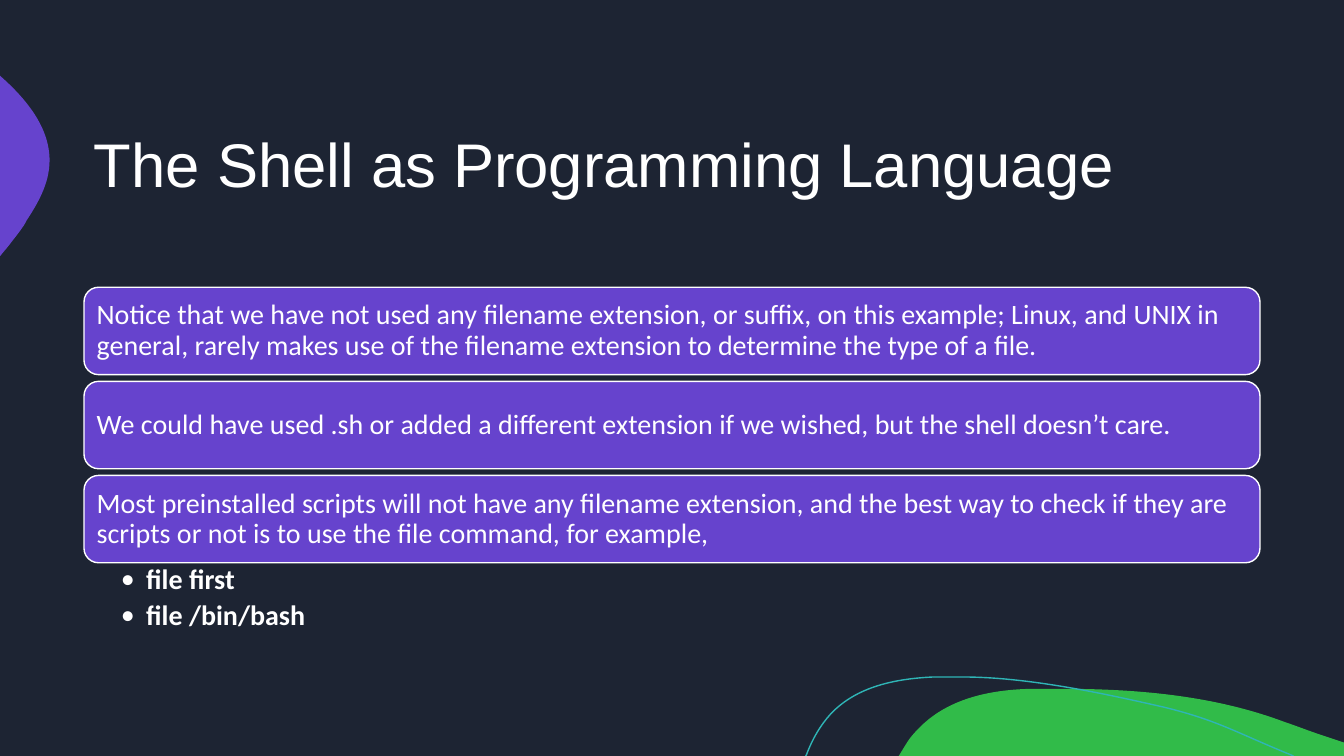
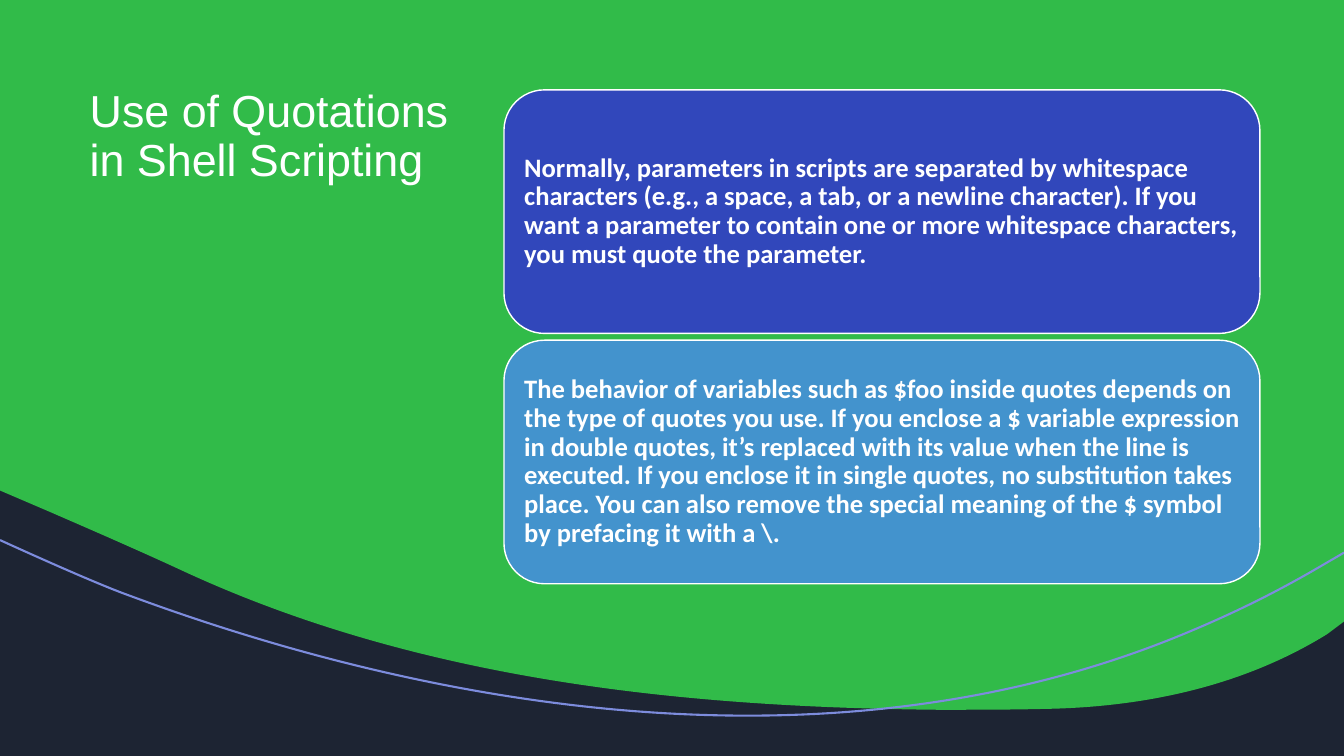
from dataclasses import dataclass
from typing import Optional

from lxml import etree
from pptx import Presentation
from pptx.dml.color import RGBColor
from pptx.enum.shapes import MSO_SHAPE
from pptx.enum.text import MSO_ANCHOR, PP_ALIGN
from pptx.oxml.ns import qn
from pptx.util import Emu, Pt

RECTANGLE, ROUNDED = MSO_SHAPE.RECTANGLE, MSO_SHAPE.ROUNDED_RECTANGLE
TOP, MIDDLE = MSO_ANCHOR.TOP, MSO_ANCHOR.MIDDLE
LEFT = PP_ALIGN.LEFT

EMU_PER_PX = 7620
SLIDE_W, SLIDE_H = 1600, 900
CARD_GAP = 8
BULLET_INDENT = 30

COLORS = {
    "navy": "1D2433",
    "green": "31BB49",
    "purple": "6643CD",
    "teal": "2FB5B6",
    "lavender": "7D8CDD",
    "indigo": "3147BB",
    "sky": "4393CD",
    "white": "FFFFFF",
}

Segment = tuple[int, ...]


@dataclass(frozen=True)
class Box:
    left: int
    top: int
    width: int
    height: int


@dataclass(frozen=True)
class Style:
    font: str
    size: int
    bold: bool = False
    anchor: MSO_ANCHOR = MIDDLE
    insets: tuple[int, int, int, int] = (12, 6, 12, 6)
    bullet: Optional[str] = None
    space_after: int = 0


@dataclass(frozen=True)
class Curve:
    start: tuple[int, int]
    segments: tuple[Segment, ...]
    fill: Optional[str] = None
    line: Optional[str] = None
    weight: float = 1


@dataclass(frozen=True)
class Card:
    text: str
    fill: str


CARD_INSETS = (10, 10, 10, 10)
WIDE_TITLE = Style("Arial", 44)
SIDE_TITLE = Style("Arial", 32, anchor=TOP)
WIDE_CARD = Style("Calibri", 20, insets=CARD_INSETS)
TALL_CARD = Style("Calibri", 19, bold=True, insets=CARD_INSETS)
COMMANDS = Style("Calibri", 20, bold=True, anchor=TOP,
                 insets=(44, 3, 19, 3), bullet="•", space_after=4)

CORNER_CURVES = (
    Curve((1265, 820), (
        (1354, 820, 1445, 828, 1528, 859),
        (1543, 864, 1558, 870, 1573, 875),
        (1600, 884), (1600, 900), (1070, 900), (1078, 887),
        (1082, 880, 1087, 874, 1093, 868),
        (1127, 832, 1178, 821, 1228, 820),
        (1240, 820, 1252, 820, 1265, 820)), fill="green"),
    Curve((0, 90), (
        (1, 91),
        (36, 122, 65, 160, 58, 204),
        (55, 224, 44, 244, 32, 262),
        (29, 269, 20, 280, 10, 293),
        (0, 305)), fill="purple"),
    Curve((959, 900), (
        (960, 899),
        (967, 880, 977, 863, 989, 850),
        (1020, 817, 1067, 808, 1111, 806),
        (1146, 806),
        (1226, 806, 1320, 827, 1386, 842),
        (1451, 858, 1471, 872, 1540, 900)), line="teal"),
)
WAVE_CURVES = (
    Curve((0, 0), (
        (1600, 0), (1600, 740), (1580, 755),
        (1478, 818, 1360, 842, 1244, 844),
        (1202, 845, 1159, 845, 1116, 845),
        (812, 842, 497, 810, 214, 678),
        (162, 654, 109, 631, 56, 608),
        (0, 584)), fill="green"),
    Curve((1600, 658), (
        (1564, 679),
        (1517, 706, 1464, 733, 1394, 761),
        (1009, 914, 558, 859, 151, 708),
        (118, 696, 48, 665, 0, 643)), line="lavender", weight=1.5),
)

SHELL_CARDS = (
    Card("Notice that we have not used any filename extension, or suffix, on this example; "
         "Linux, and UNIX in general, rarely makes use of the filename extension to "
         "determine the type of a file.", "purple"),
    Card("We could have used .sh or added a different extension if we wished, "
         "but the shell doesn’t care.", "purple"),
    Card("Most preinstalled scripts will not have any filename extension, and the best way "
         "to check if they are scripts or not is to use the file command, for example,",
         "purple"),
)
QUOTE_CARDS = (
    Card("Normally, parameters in scripts are separated by whitespace characters (e.g., a "
         "space, a tab, or a newline character). If you want a parameter to contain one or "
         "more whitespace characters, you must quote the parameter.", "indigo"),
    Card("The behavior of variables such as $foo inside quotes depends on the type of quotes "
         "you use. If you enclose a $ variable expression in double quotes, it’s replaced "
         "with its value when the line is executed. If you enclose it in single quotes, no "
         "substitution takes place. You can also remove the special meaning of the $ symbol "
         "by prefacing it with a \\.", "sky"),
)


def px(value: int) -> Emu:
    return Emu(value * EMU_PER_PX)


def rgb(name: str) -> RGBColor:
    return RGBColor.from_string(COLORS[name])


def place(box: Box) -> tuple[Emu, ...]:
    return px(box.left), px(box.top), px(box.width), px(box.height)


def paint(shape, fill: Optional[str], line: Optional[str], weight: float = 1) -> None:
    shape.shadow.inherit = False
    if fill:
        shape.fill.solid()
        shape.fill.fore_color.rgb = rgb(fill)
    else:
        shape.fill.background()
    if line:
        shape.line.color.rgb = rgb(line)
        shape.line.width = Pt(weight)
    else:
        shape.line.fill.background()


def add_bullet(p, style: Style) -> None:
    p.level = 1
    pPr = p._p.get_or_add_pPr()
    for name, value in {"marL": px(BULLET_INDENT), "indent": px(-BULLET_INDENT)}.items():
        pPr.set(name, str(value))
    etree.SubElement(pPr, qn("a:buFont")).set("typeface", style.font)
    etree.SubElement(pPr, qn("a:buChar")).set("char", style.bullet)


def write(shape, lines: tuple[str, ...], style: Style) -> None:
    tf = shape.text_frame
    left, top, right, bottom = map(px, style.insets)
    frame_format = {
        "word_wrap": True, "vertical_anchor": style.anchor,
        "margin_left": left, "margin_top": top,
        "margin_right": right, "margin_bottom": bottom,
    }
    for name, value in frame_format.items():
        setattr(tf, name, value)
    paragraph_format = {"alignment": LEFT, "line_spacing": 0.9,
                        "space_after": Pt(style.space_after)}
    font_format = {"name": style.font, "size": Pt(style.size), "bold": style.bold}
    for i, line in enumerate(lines):
        p = tf.add_paragraph() if i else tf.paragraphs[0]
        if style.bullet:
            add_bullet(p, style)
        for name, value in paragraph_format.items():
            setattr(p, name, value)
        r = p.add_run()
        r.text = line
        for name, value in font_format.items():
            setattr(r.font, name, value)
        r.font.color.rgb = rgb("white")


def add_text(s, box: Box, lines: tuple[str, ...], style: Style) -> None:
    write(s.shapes.add_textbox(*place(box)), lines, style)


def add_cards(s, first: Box, cards: tuple[Card, ...], style: Style) -> None:
    for i, card in enumerate(cards):
        top = first.top + i * (first.height + CARD_GAP)
        box = Box(first.left, top, first.width, first.height)
        sp = s.shapes.add_shape(ROUNDED, *place(box))
        paint(sp, card.fill, "white")
        write(sp, (card.text,), style)


def bend(sp, segments: tuple[Segment, ...]) -> None:
    steps = iter(list(sp._element.iter(qn("a:lnTo"))))
    for segment in segments:
        first = next(steps)
        if len(segment) == 2:
            continue
        cubic = etree.Element(qn("a:cubicBezTo"))
        first.addprevious(cubic)
        for step in (first, next(steps), next(steps)):
            cubic.append(step[0])
            step.getparent().remove(step)


def add_curves(s, curves: tuple[Curve, ...]) -> list:
    shapes = []
    for curve in curves:
        points = [(px(x), px(y)) for segment in curve.segments
                  for x, y in zip(segment[::2], segment[1::2])]
        builder = s.shapes.build_freeform(*map(px, curve.start), scale=1.0)
        builder.add_line_segments(points, close=curve.fill is not None)
        sp = builder.convert_to_shape()
        bend(sp, curve.segments)
        paint(sp, curve.fill, curve.line, curve.weight)
        shapes.append(sp)
    return shapes


def decorate_master(prs, s) -> None:
    master = prs.slide_master
    backdrop = master.background.fill
    backdrop.solid()
    backdrop.fore_color.rgb = rgb("navy")
    for sp in add_curves(s, CORNER_CURVES):
        master.element.cSld.spTree.append(sp._element)


def main() -> None:
    prs = Presentation()
    prs.slide_width, prs.slide_height = px(SLIDE_W), px(SLIDE_H)
    blank = prs.slide_layouts[6]

    s = prs.slides.add_slide(blank)
    decorate_master(prs, s)
    add_text(s, Box(100, 100, 1400, 200), ("The Shell as Programming Language",), WIDE_TITLE)
    add_cards(s, Box(100, 342, 1400, 104), SHELL_CARDS, WIDE_CARD)
    add_text(s, Box(100, 670, 1400, 90), ("file first", "file /bin/bash"), COMMANDS)

    s = prs.slides.add_slide(blank)
    cover = s.shapes.add_shape(RECTANGLE, *place(Box(0, 0, SLIDE_W, SLIDE_H)))
    paint(cover, "navy", None)
    add_curves(s, WAVE_CURVES)
    add_text(s, Box(95, 100, 473, 300), ("Use of Quotations in Shell Scripting",), SIDE_TITLE)
    add_cards(s, Box(600, 107, 900, 290), QUOTE_CARDS, TALL_CARD)

    prs.save("out.pptx")


if __name__ == "__main__":
    main()
